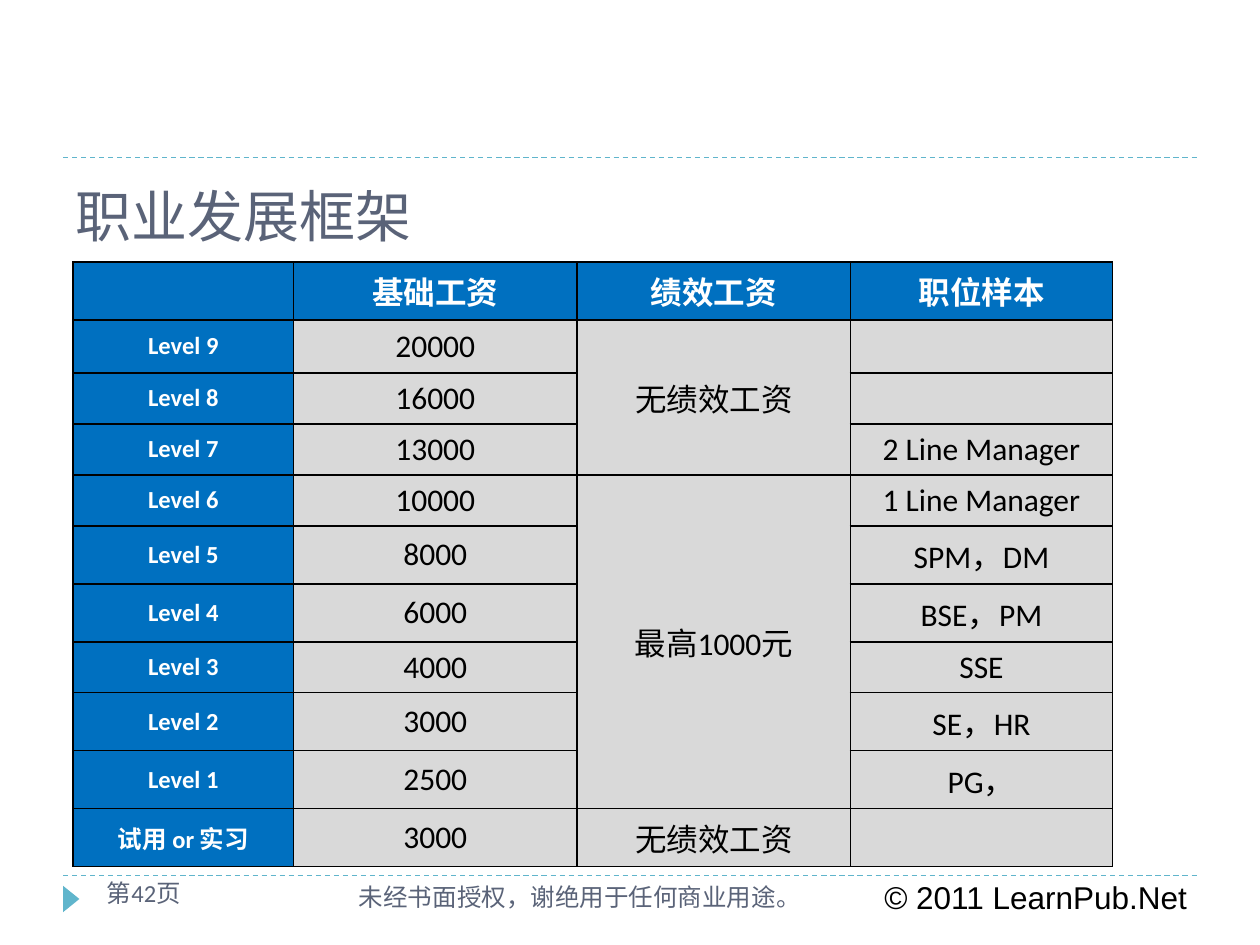
import dataclasses

import lxml.etree
import pptx
import pptx.dml.color
import pptx.enum.dml
import pptx.enum.shapes
import pptx.enum.text
import pptx.oxml.ns
import pptx.util

ALIGN = pptx.enum.text.PP_ALIGN
ANCHOR = pptx.enum.text.MSO_ANCHOR
SHAPE = pptx.enum.shapes.MSO_SHAPE
qn = pptx.oxml.ns.qn


@dataclasses.dataclass(frozen=True)
class Theme:
    ink: str = "000000"
    slate: str = "5A6378"
    teal: str = "60B5CC"
    blue: str = "0070C0"
    grey: str = "D9D9D9"
    white: str = "FFFFFF"
    body: str = "Calibri"
    head: str = "TeX Gyre Bonum"
    mark: str = "Arial"
    big: int = 32
    mid: int = 18
    small: int = 14


def rgb(code):
    return pptx.dml.color.RGBColor.from_string(code)


class Deck:
    """Places elements on a grid of 20 columns by 15 rows."""

    def __init__(self, theme):
        self.theme = theme
        self.file = pptx.Presentation()
        self.file.slide_width = pptx.util.Inches(10)
        self.file.slide_height = pptx.util.Inches(7.5)
        self.col = self.file.slide_width / 20
        self.row = self.file.slide_height / 15
        self.slide = self.file.slides.add_slide(self.file.slide_layouts[5])

    def place(self, x, y, w, h):
        return (round(x * self.col), round(y * self.row),
                round(w * self.col), round(h * self.row))

    def label(self, frame, text, color, size, name, bold=False, align=ALIGN.LEFT):
        para = frame.paragraphs[0]
        para.alignment = align
        run = para.add_run()
        run.text = text
        run.font.color.rgb = rgb(color)
        style = {"size": pptx.util.Pt(size), "name": name, "bold": bold}
        for key, value in style.items():
            setattr(run.font, key, value)

    def title(self, text, box):
        shape = self.slide.shapes.title
        keys = ("left", "top", "width", "height")
        for key, value in zip(keys, self.place(*box)):
            setattr(shape, key, value)
        frame = shape.text_frame
        frame.auto_size = pptx.enum.text.MSO_AUTO_SIZE.NONE
        frame.vertical_anchor = ANCHOR.MIDDLE
        self.label(frame, text, self.theme.slate, self.theme.big, self.theme.head)

    def text(self, text, box, color, size, name):
        frame = self.slide.shapes.add_textbox(*self.place(*box)).text_frame
        frame.word_wrap = True
        self.label(frame, text, color, size, name)

    def rule(self, y):
        """Draw a dashed line across the slide margins."""
        left, top, width, _ = self.place(1, y, 18, 0)
        kind = pptx.enum.shapes.MSO_CONNECTOR.STRAIGHT
        line = self.slide.shapes.add_connector(kind, left, top, left + width, top)
        line.line.color.rgb = rgb(self.theme.teal)
        line.line.width = pptx.util.Pt(0.75)
        line.line.dash_style = pptx.enum.dml.MSO_LINE.DASH
        props = line._element.spPr
        lxml.etree.SubElement(props, qn("a:effectLst"))

    def arrow(self, box):
        shape = self.slide.shapes.add_shape(SHAPE.ISOSCELES_TRIANGLE, *self.place(*box))
        shape.rotation = 90
        shape.shadow.inherit = False
        shape.fill.solid()
        shape.fill.fore_color.rgb = rgb(self.theme.teal)
        shape.line.fill.background()

    def edge(self, cell):
        """Put a thin border on all four sides; borders precede the fill."""
        props = cell._tc.get_or_add_tcPr()
        for spot, side in enumerate("LRTB"):
            line = lxml.etree.Element(qn("a:ln" + side), w=str(pptx.util.Pt(1)))
            fill = lxml.etree.SubElement(line, qn("a:solidFill"))
            lxml.etree.SubElement(fill, qn("a:srgbClr"), val=self.theme.ink)
            props.insert(spot, line)

    def cell(self, cell, text, top, side):
        theme = self.theme
        head = top or side
        cell.fill.solid()
        cell.fill.fore_color.rgb = rgb(theme.blue if head else theme.grey)
        cell.vertical_anchor = ANCHOR.MIDDLE
        self.edge(cell)
        if text:
            self.label(cell.text_frame, text, theme.white if head else theme.ink,
                       theme.small if side else theme.mid, theme.body,
                       head, ALIGN.CENTER)

    def table(self, data, spot, cols, rows, spans):
        box = self.place(*spot, sum(cols), sum(rows))
        table = self.slide.shapes.add_table(len(rows), len(cols), *box).table
        for item, size in zip(table.columns, cols):
            item.width = round(size * self.col)
        for item, size in zip(table.rows, rows):
            item.height = round(size * self.row)
        for r, line in enumerate(data):
            for c, text in enumerate(line):
                self.cell(table.cell(r, c), text, r == 0, c == 0)
        for first, last, c in spans:
            table.cell(first, c).merge(table.cell(last, c))


GRADES = [
    ("", "基础工资", "绩效工资", "职位样本"),
    ("Level 9", "20000", "无绩效工资", ""),
    ("Level 8", "16000", "", ""),
    ("Level 7", "13000", "", "2 Line Manager"),
    ("Level 6", "10000", "最高1000元", "1 Line Manager"),
    ("Level 5", "8000", "", "SPM，DM"),
    ("Level 4", "6000", "", "BSE，PM"),
    ("Level 3", "4000", "", "SSE"),
    ("Level 2", "3000", "", "SE，HR"),
    ("Level 1", "2500", "", "PG，"),
    ("试用 or 实习", "3000", "无绩效工资", ""),
]


def main():
    theme = Theme()
    deck = Deck(theme)
    deck.rule(13.9)
    deck.rule(2.5)
    deck.arrow((0.92, 14.14, 0.42, 0.26))
    deck.text("© 2011 LearnPub.Net", (13.84, 13.84, 5.34, 0.8),
              theme.ink, theme.mid, theme.mark)
    deck.text("未经书面授权，谢绝用于任何商业用途。", (5.5, 13.9, 8, 0.8),
              theme.slate, theme.small, theme.body)
    deck.text("第42页", (1.5, 13.84, 3.32, 0.8),
              theme.slate, theme.small, theme.body)
    deck.title("职业发展框架", (1, 2.84, 18, 1.16))
    tall, low = 0.92, 0.81
    rows = [tall, 0.84, low, low, low, tall, tall, low, tall, tall, tall]
    deck.table(GRADES, (1.16, 4.16), (3.5, 4.5, 4.34, 4.16), rows,
               [(1, 3, 2), (4, 9, 2)])
    deck.file.save("out.pptx")


if __name__ == "__main__":
    main()
